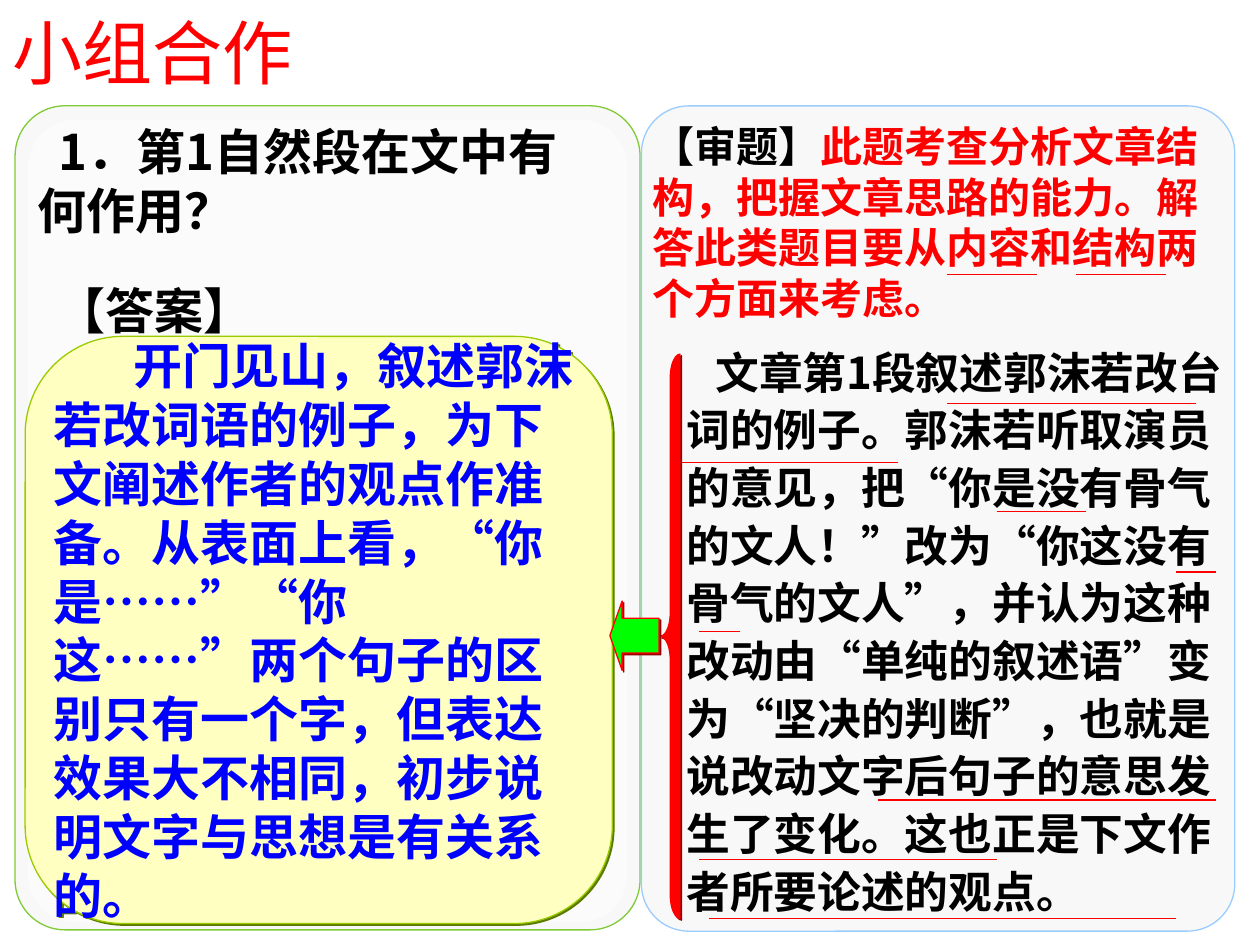
import itertools
from dataclasses import dataclass

import lxml.etree
import pptx
import pptx.dml.color
import pptx.enum.shapes
import pptx.enum.text
import pptx.oxml.ns
import pptx.util

PX = 9144
SHAPES = pptx.enum.shapes.MSO_SHAPE
ANCHOR = pptx.enum.text.MSO_ANCHOR


@dataclass(frozen=True)
class Theme:
    font: str = "Noto Sans CJK SC"
    latin: str = "Arial"
    title_size: int = 40
    answer_size: int = 28
    review_size: int = 24
    analysis_size: int = 25
    line_width: float = 0.75
    black: str = "000000"
    white: str = "FFFFFF"
    red: str = "FF0000"
    blue: str = "0000FF"
    green: str = "00FF00"
    panel: str = "F8F8F8"
    panel_green: str = "80CB35"
    panel_blue: str = "99CCFF"
    card: str = "FFFFC1"
    card_line: str = "99CC00"
    card_shadow: str = "5C7A00"
    red_shadow: str = "990000"
    text_shadow: str = "808080"


THEME = Theme()


def px(*lengths):
    return [pptx.util.Emu(length * PX) for length in lengths]


def rgb(value):
    return pptx.dml.color.RGBColor.from_string(value)


def set_values(target, values):
    for name, value in values.items():
        setattr(target, name, value)


def make_shadow(color):
    effects = lxml.etree.Element(pptx.oxml.ns.qn("a:effectLst"))
    outer = lxml.etree.SubElement(
        effects, pptx.oxml.ns.qn("a:outerShdw"), dist="17780", dir="2700000", algn="ctr"
    )
    lxml.etree.SubElement(outer, pptx.oxml.ns.qn("a:srgbClr"), val=color)
    return effects


def add_panel(slide, kind, box, fill, line=None, width=THEME.line_width,
              adjustments=(), shadow=None, opacity=None):
    shape = slide.shapes.add_shape(kind, *px(*box))
    shape.shadow.inherit = False
    for index, value in enumerate(adjustments):
        shape.adjustments[index] = value
    shape.fill.solid()
    shape.fill.fore_color.rgb = rgb(fill)
    if opacity:
        color = shape.fill._xPr.find(".//" + pptx.oxml.ns.qn("a:srgbClr"))
        lxml.etree.SubElement(color, pptx.oxml.ns.qn("a:alpha"), val=str(opacity * 1000))
    if line:
        shape.line.color.rgb = rgb(line)
        shape.line.width = pptx.util.Pt(width)
    else:
        shape.line.fill.background()
    if shadow:
        properties = shape._element.spPr
        empty = properties.find(pptx.oxml.ns.qn("a:effectLst"))
        properties.replace(empty, make_shadow(shadow))
    return shape


def add_run(paragraph, text, color, size, bold, font, shadow):
    run = paragraph.add_run()
    run.text = text
    set_values(run.font, {"size": pptx.util.Pt(size), "bold": bold})
    run.font.color.rgb = rgb(color)
    run.font.name = font
    properties = run.font._element
    properties.set("lang", "zh-CN")
    east_asian = lxml.etree.Element(pptx.oxml.ns.qn("a:ea"), typeface=THEME.font)
    properties.find(pptx.oxml.ns.qn("a:latin")).addnext(east_asian)
    if shadow:
        fill = properties.find(pptx.oxml.ns.qn("a:solidFill"))
        fill.addnext(make_shadow(THEME.text_shadow))


def write_text(shape, runs, size, bold=True, anchor=ANCHOR.MIDDLE, indent=0,
               spacing=1.0, margins=(10, 5, 10, 5), shadow=True):
    left, top, right, bottom = px(*margins)
    frame = shape.text_frame
    set_values(frame, {
        "word_wrap": True,
        "auto_size": pptx.enum.text.MSO_AUTO_SIZE.SHAPE_TO_FIT_TEXT,
        "vertical_anchor": anchor,
        "margin_left": left,
        "margin_top": top,
        "margin_right": right,
        "margin_bottom": bottom,
    })
    paragraph = frame.paragraphs[0]
    set_values(paragraph, {
        "alignment": pptx.enum.text.PP_ALIGN.LEFT,
        "line_spacing": spacing,
    })
    if indent:
        properties = paragraph._p.get_or_add_pPr()
        properties.set("marL", "0")
        properties.set("indent", str(indent * PX))
    for text, color, font in runs:
        add_run(paragraph, text, color, size, bold, font, shadow)


def add_text(slide, box, runs, size, **options):
    write_text(slide.shapes.add_textbox(*px(*box)), runs, size, **options)


def add_underline(slide, left, right, y):
    line = slide.shapes.add_connector(
        pptx.enum.shapes.MSO_CONNECTOR.STRAIGHT, *px(left, y, right, y)
    )
    line.line.color.rgb = rgb(THEME.red)
    line.line.width = pptx.util.Pt(THEME.line_width)
    lxml.etree.SubElement(line._element.spPr, pptx.oxml.ns.qn("a:effectLst"))


def add_title(slide):
    title = slide.shapes.title
    names = ("left", "top", "width", "height")
    set_values(title, dict(zip(names, px(0, 2, 295, 77))))
    write_text(title, [("小组合作", THEME.red, THEME.font)], THEME.title_size, bold=False)


def add_question(slide):
    rounded = SHAPES.ROUNDED_RECTANGLE
    add_panel(slide, rounded, (12, 84, 496, 654), THEME.panel, THEME.panel_green,
              adjustments=[0.08])
    add_panel(slide, rounded, (22, 95, 476, 637), THEME.white, adjustments=[0.08], opacity=50)
    add_panel(slide, rounded, (509, 84, 471, 655), THEME.panel, THEME.panel_blue,
              adjustments=[0.08])
    add_text(slide, (20, 91, 457, 104),
             [("1．第1自然段在文中有何作用？", THEME.black, THEME.font)],
             THEME.answer_size, indent=17)


def add_answer(slide):
    card = add_panel(slide, SHAPES.FLOWCHART_ALTERNATE_PROCESS, (20, 267, 466, 466),
                     THEME.card, THEME.card_line, shadow=THEME.card_shadow)
    parts = (
        "开门见山，叙述郭沫若改词语的例子，为下文阐述作者的观点作准备。从表面上看，",
        "“", "你是", "……”“", "你这", "……”",
        "两个句子的区别只有一个字，但表达效果大不相同，初步说明文字与思想是有关系的。",
    )
    fonts = itertools.cycle((THEME.latin, THEME.font))
    runs = [(text, THEME.blue, font) for text, font in zip(parts, fonts)]
    write_text(card, runs, THEME.answer_size, indent=63, margins=(0, 0, 0, 0), shadow=False)
    add_text(slide, (35, 218, 220, 57), [("【答案】", THEME.black, THEME.latin)],
             THEME.answer_size, anchor=ANCHOR.TOP)


def add_analysis(slide):
    add_text(slide, (508, 91, 473, 170), [
        ("【审题】", THEME.black, THEME.font),
        ("此题考查分析文章结构，把握文章思路的能力。解答此类题目要从内容和结构两个方面来考虑。",
         THEME.red, THEME.font),
    ], THEME.review_size)
    analysis = (
        "文章第1段叙述郭沫若改台词的例子。郭沫若听取演员的意见，"
        "把“你是没有骨气的文人！”改为“你这没有骨气的文人”，"
        "并认为这种改动由“单纯的叙述语”变为“坚决的判断”，"
        "也就是说改动文字后句子的意思发生了变化。这也正是下文作者所要论述的观点。"
    )
    add_text(slide, (535, 265, 465, 468), [(analysis, THEME.black, THEME.font)],
             THEME.analysis_size, anchor=ANCHOR.TOP, indent=23, spacing=1.1)
    underlines = (
        (752, 949, 320), (933, 965, 454), (555, 587, 501), (539, 713, 367),
        (791, 862, 406), (697, 965, 635), (555, 791, 682), (563, 933, 729),
        (752, 823, 218), (854, 925, 218),
    )
    for left, right, y in underlines:
        add_underline(slide, left, right, y)


def add_link(slide):
    add_panel(slide, SHAPES.LEFT_BRACE, (524, 281, 16, 448), THEME.red, THEME.red,
              adjustments=[1.18, 0.5], shadow=THEME.red_shadow)
    add_panel(slide, SHAPES.LEFT_ARROW, (484, 477, 39, 55), THEME.green, THEME.red, width=0,
              adjustments=[0.5, 0.25], shadow=THEME.red_shadow)


def main():
    presentation = pptx.Presentation()
    width, height = px(1000, 750)
    set_values(presentation, {"slide_width": width, "slide_height": height})
    slide = presentation.slides.add_slide(presentation.slide_layouts[5])
    add_title(slide)
    add_question(slide)
    add_answer(slide)
    add_analysis(slide)
    add_link(slide)
    presentation.save("out.pptx")


if __name__ == "__main__":
    main()
